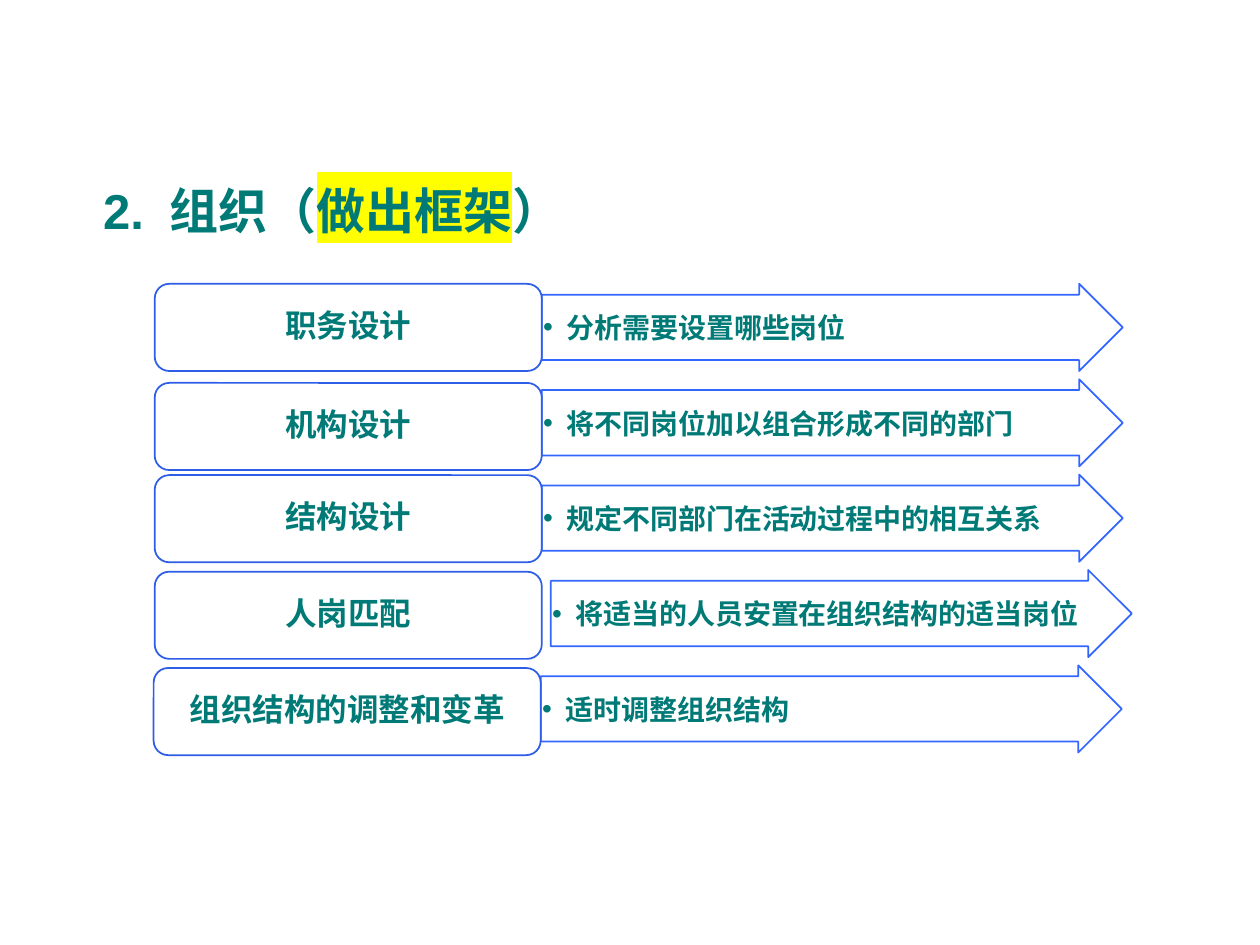
from pptx import Presentation
from pptx.dml.color import RGBColor
from pptx.enum.shapes import MSO_SHAPE as Shape
from pptx.enum.text import MSO_ANCHOR as Anchor, PP_ALIGN as Align
from pptx.oxml import parse_xml
from pptx.oxml.ns import nsdecls
from pptx.util import Pt

TEAL = "007A77"


def color(value):
    return RGBColor.from_string(value)


def add_span(para, text, size):
    span = para.add_run()
    span.text = text
    span.font.size = Pt(size)
    span.font.name = "Arial"
    span.font.bold = True
    span.font.color.rgb = color(TEAL)
    return span


deck = Presentation()
deck.slide_width, deck.slide_height = Pt(720), Pt(540)
page = deck.slides.add_slide(deck.slide_layouts[5])

# Title: the number hangs, one phrase is highlighted
title = page.shapes.title
title.left, title.top, title.width, title.height = Pt(51.8), Pt(103.7), Pt(625), Pt(50)
frame = title.text_frame
frame.word_wrap = True
frame.vertical_anchor = Anchor.TOP
frame.margin_left = frame.margin_right = Pt(7.2)
frame.margin_top = frame.margin_bottom = Pt(3)
para = frame.paragraphs[0]
para.alignment = Align.LEFT
para.line_spacing = 0.9
props = para._p.get_or_add_pPr()
props.set("marL", str(Pt(38)))
props.set("indent", str(Pt(-38)))
add_span(para, "2.\t组织（", 28)
marked = add_span(para, "做出框架", 28)
add_span(para, "）", 28)
marked.font._element.find("{*}solidFill").addnext(parse_xml(
    f'<a:highlight {nsdecls("a")}><a:srgbClr val="FFFF00"/></a:highlight>'))

# Rows: label, its left and top, detail, its arrow's left
rows = [
    ("职务设计", 88.4, 162.2, "分析需要设置哪些岗位", 309.6),
    ("机构设计", 88.4, 218.8, "将不同岗位加以组合形成不同的部门", 309.6),
    ("结构设计", 88.4, 271.5, "规定不同部门在活动过程中的相互关系", 309.6),
    ("人岗匹配", 88.4, 326.7, "将适当的人员安置在组织结构的适当岗位", 314.8),
    ("组织结构的调整和变革", 87.8, 381.7, "适时调整组织结构", 309.1),
]
FIRST_TOP, PITCH, HEIGHT = 162.2, 54.5, 49.8

for index, (label, label_left, label_top, detail, arrow_left) in enumerate(rows):
    # Arrow with the bulleted detail
    arrow = page.shapes.add_shape(
        Shape.RIGHT_ARROW, Pt(arrow_left), Pt(FIRST_TOP + index * PITCH), Pt(332), Pt(HEIGHT))
    arrow.adjustments[0], arrow.adjustments[1] = 0.75, 0.5
    para = arrow.text_frame.paragraphs[0]
    para.alignment = Align.LEFT
    props = para._p.get_or_add_pPr()
    props.set("marL", str(Pt(13.5)))
    props.set("indent", str(Pt(-13.5)))
    props.append(parse_xml(f'<a:buFont {nsdecls("a")} typeface="Arial"/>'))
    props.append(parse_xml(f'<a:buChar {nsdecls("a")} char="•"/>'))
    add_span(para, detail, 16)

    # Rounded label box
    box = page.shapes.add_shape(
        Shape.ROUNDED_RECTANGLE, Pt(label_left), Pt(label_top), Pt(221.2), Pt(HEIGHT))
    para = box.text_frame.paragraphs[0]
    para.alignment = Align.CENTER
    para.line_spacing = 0.9
    add_span(para, label, 18)

    # Shared look
    for shape, line, left, right in ((arrow, "3366FF", 0.8, 7), (box, "2E5DE7", 7.2, 7.2)):
        shape.shadow.inherit = False
        shape.fill.solid()
        shape.fill.fore_color.rgb = color("FFFFFF")
        shape.line.color.rgb = color(line)
        shape.line.width = Pt(1)
        frame = shape.text_frame
        frame.word_wrap = True
        frame.vertical_anchor = Anchor.MIDDLE
        frame.margin_left, frame.margin_right = Pt(left), Pt(right)
        frame.margin_top = frame.margin_bottom = Pt(0)

deck.save("out.pptx")
